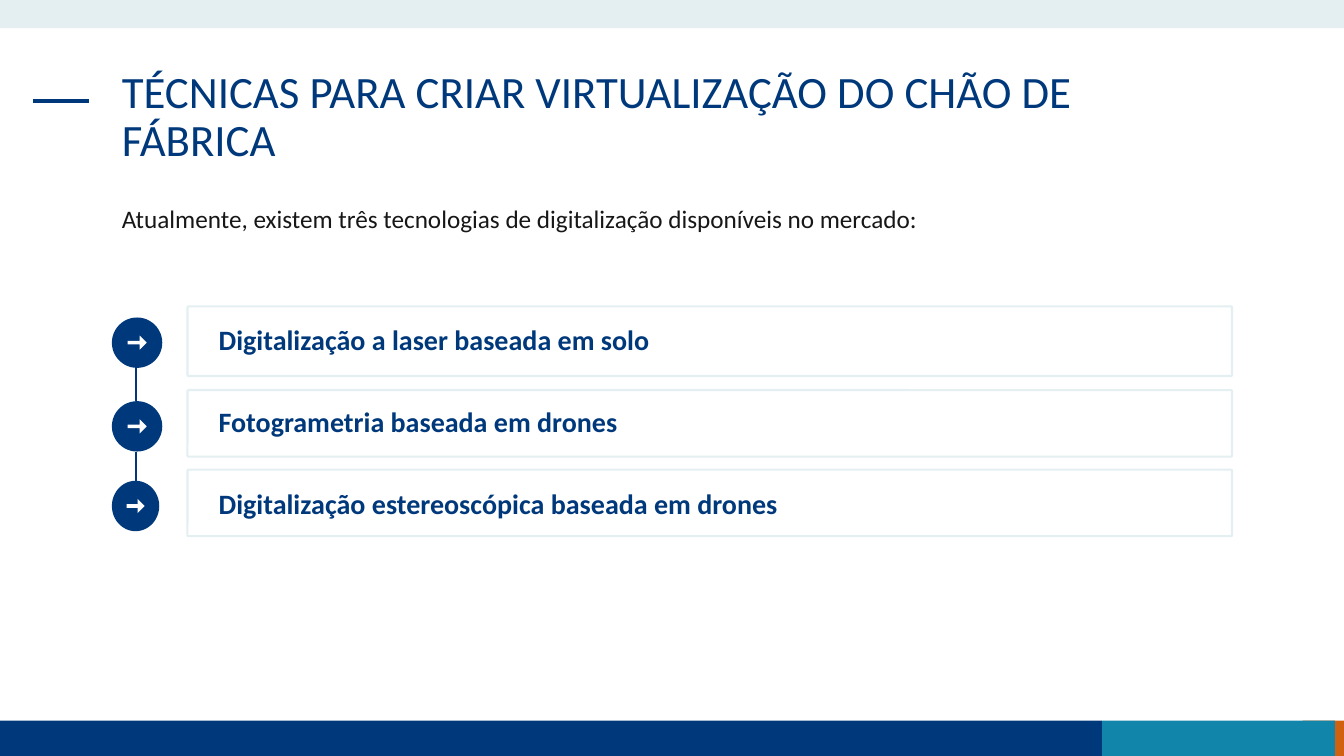
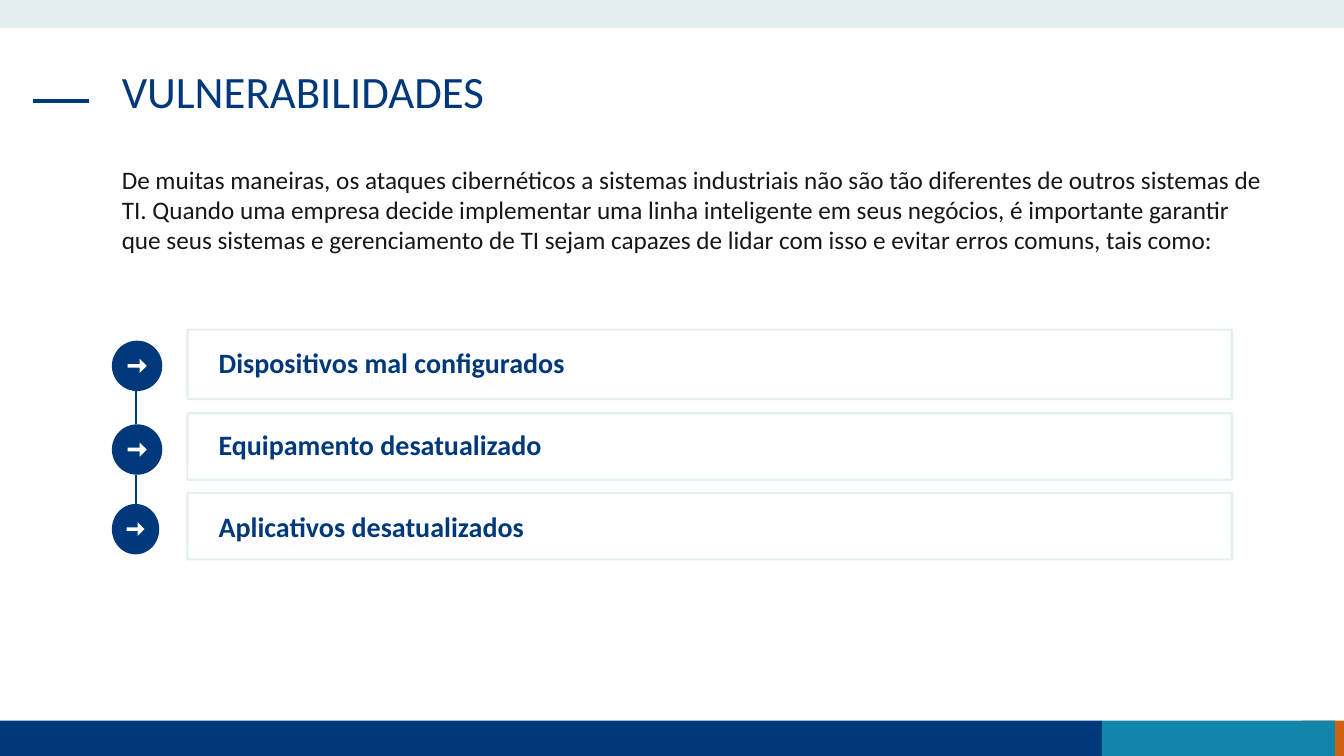
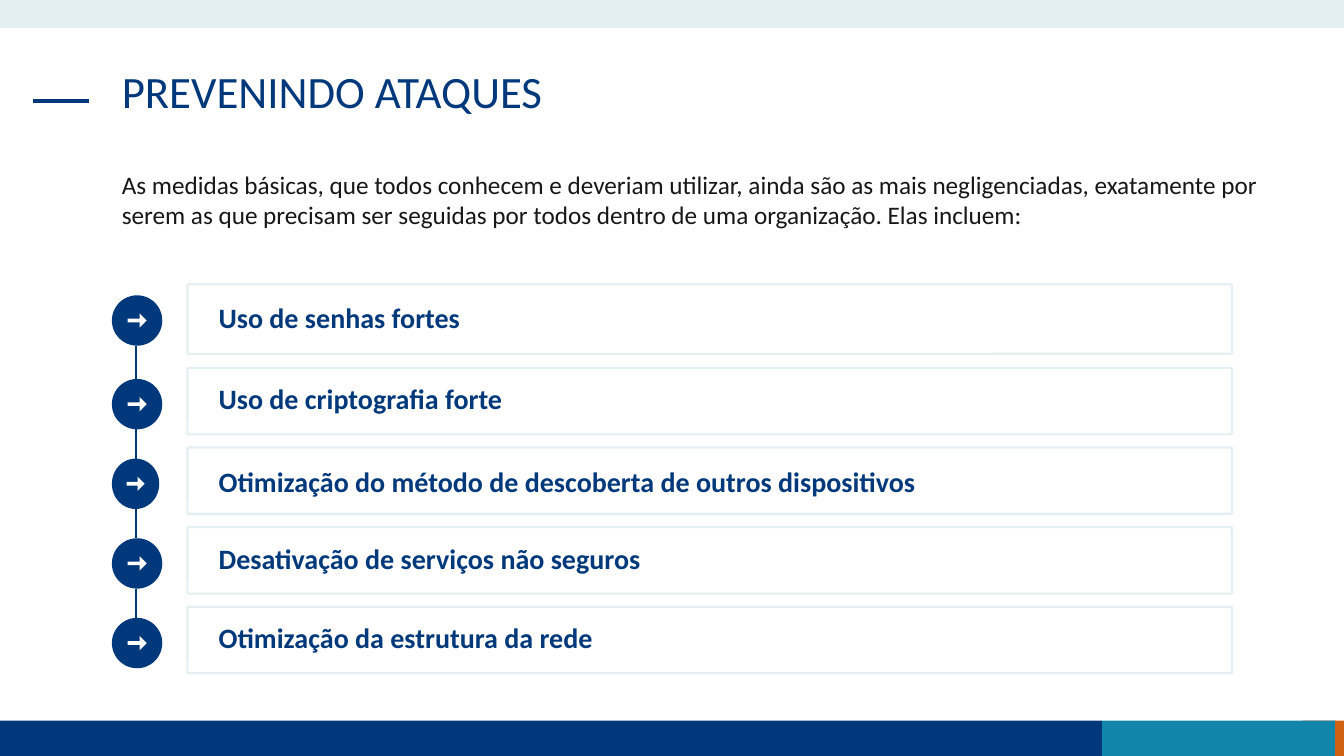
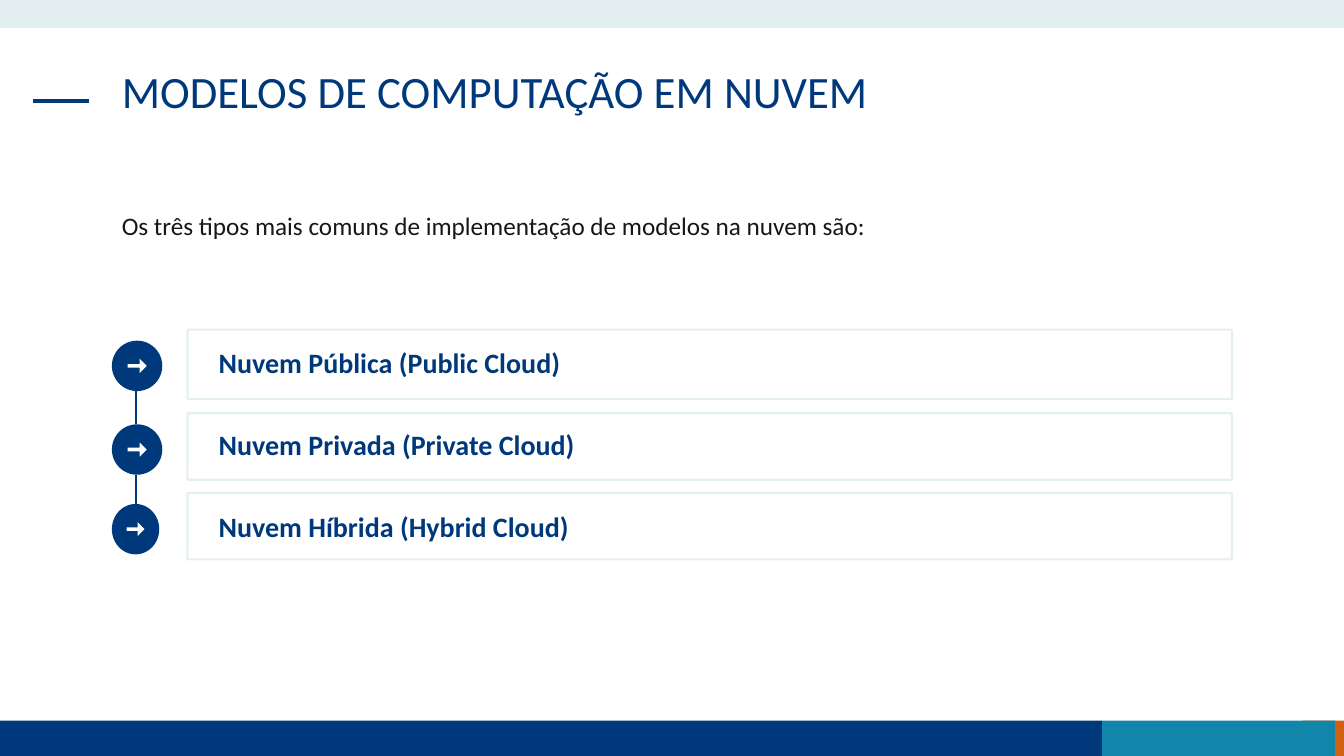
from dataclasses import dataclass
from typing import NamedTuple

from lxml.etree import SubElement
from pptx import Presentation
from pptx.dml.color import RGBColor
from pptx.enum.shapes import MSO_CONNECTOR as Connector, MSO_SHAPE as Shape
from pptx.oxml.ns import qn
from pptx.shapes.autoshape import Shape as AutoShape
from pptx.slide import Slide
from pptx.util import Inches, Pt


# Colours, fonts and sizes
@dataclass(frozen=True)
class Theme:
    navy: RGBColor = RGBColor(0x00, 0x39, 0x7B)
    teal: RGBColor = RGBColor(0x11, 0x85, 0xAA)
    orange: RGBColor = RGBColor(0xD0, 0x61, 0x10)
    mist: RGBColor = RGBColor(0xE3, 0xEF, 0xF1)
    ink: RGBColor = RGBColor(0x18, 0x17, 0x17)
    white: RGBColor = RGBColor(0xFF, 0xFF, 0xFF)
    font: str = "Calibri"
    title_size: int = 32
    intro_size: int = 18
    item_size: int = 20
    accent_line: float = 3
    thin_line: float = 1.5


THEME = Theme()


class Area(NamedTuple):
    left: float
    top: float
    width: float
    height: float

    def lengths(self) -> list[Inches]:
        return [Inches(value) for value in self]


class Band(NamedTuple):
    area: Area
    color: RGBColor


class RowStyle(NamedTuple):
    box_height: float
    label_drop: float
    badge_width: float


@dataclass(frozen=True)
class Topic:
    title: str
    intro: str
    intro_top: float
    intro_lines: int
    list_top: float
    items: tuple[str, ...]


BANDS = (
    Band(Area(12.92, 7.15, 0.41, 0.35), THEME.orange),
    Band(Area(0, 7.15, 10.93, 0.35), THEME.navy),
    Band(Area(10.93, 7.15, 2.31, 0.35), THEME.teal),
    Band(Area(0, 0, 13.33, 0.28), THEME.mist),
)

# List geometry: the first row is slightly taller, the third badge narrower
ROW_PITCH = 0.79
FIRST_ROW_EXTRA = 0.04
MARGIN = 1.11
BADGE_SIZE = 0.5
BADGE_DROP = 0.11
LINK_X = 1.35
REGULAR_ROW = RowStyle(0.66, 0.09, BADGE_SIZE)
SPECIAL_ROWS = {
    0: RowStyle(0.69, 0.11, BADGE_SIZE),
    2: RowStyle(0.66, 0.12, 0.47),
}

TOPICS = (
    Topic(
        "TÉCNICAS PARA CRIAR VIRTUALIZAÇÃO DO CHÃO DE FÁBRICA",
        "Atualmente, existem três tecnologias de digitalização disponíveis no mercado:",
        1.97, 1, 3.04,
        (
            "Digitalização a laser baseada em solo",
            "Fotogrametria baseada em drones",
            "Digitalização estereoscópica baseada em drones",
        ),
    ),
    Topic(
        "VULNERABILIDADES",
        "De muitas maneiras, os ataques cibernéticos a sistemas industriais não são tão "
        "diferentes de outros sistemas de TI. Quando uma empresa decide implementar uma "
        "linha inteligente em seus negócios, é importante garantir que seus sistemas e "
        "gerenciamento de TI sejam capazes de lidar com isso e evitar erros comuns, tais como:",
        1.58, 3, 3.27,
        (
            "Dispositivos mal configurados",
            "Equipamento desatualizado",
            "Aplicativos desatualizados",
        ),
    ),
    Topic(
        "PREVENINDO ATAQUES",
        "As medidas básicas, que todos conhecem e deveriam utilizar, ainda são as mais "
        "negligenciadas, exatamente por serem as que precisam ser seguidas por todos "
        "dentro de uma organização. Elas incluem:",
        1.63, 2, 2.82,
        (
            "Uso de senhas fortes",
            "Uso de criptografia forte",
            "Otimização do método de descoberta de outros dispositivos",
            "Desativação de serviços não seguros",
            "Otimização da estrutura da rede",
        ),
    ),
    Topic(
        "MODELOS DE COMPUTAÇÃO EM NUVEM",
        "Os três tipos mais comuns de implementação de modelos na nuvem são:",
        2.04, 1, 3.27,
        (
            "Nuvem Pública (Public Cloud)",
            "Nuvem Privada (Private Cloud)",
            "Nuvem Híbrida (Hybrid Cloud)",
        ),
    ),
)


# Drawing helpers
def add_filled(slide: Slide, kind: Shape, area: Area, color: RGBColor) -> AutoShape:
    filled = slide.shapes.add_shape(kind, *area.lengths())
    filled.shadow.inherit = False
    filled.fill.solid()
    filled.fill.fore_color.rgb = color
    filled.line.fill.background()
    return filled


def add_line(slide: Slide, start: tuple[float, float], end: tuple[float, float],
             width: float) -> None:
    points = [Inches(value) for value in (*start, *end)]
    line = slide.shapes.add_connector(Connector.STRAIGHT, *points)
    line.line.color.rgb = THEME.navy
    line.line.width = Pt(width)
    SubElement(line._element.spPr, qn("a:effectLst"))


def add_text(slide: Slide, area: Area, text: str, size: int, color: RGBColor,
             bold: bool = False, line_spacing: float = 1.0) -> None:
    frame = slide.shapes.add_textbox(*area.lengths()).text_frame
    frame.word_wrap = True
    paragraph = frame.paragraphs[0]
    paragraph.line_spacing = line_spacing
    run = paragraph.add_run()
    run.text = text
    run.font.name = THEME.font
    run.font.size = Pt(size)
    run.font.bold = bold
    run.font.color.rgb = color


# Slide parts
def add_frame(slide: Slide) -> None:
    for band in BANDS:
        add_filled(slide, Shape.RECTANGLE, band.area, band.color)
    add_line(slide, (0.33, 1), (0.88, 1), THEME.accent_line)


def add_badge(slide: Slide, top: float, width: float) -> None:
    add_filled(slide, Shape.OVAL, Area(MARGIN, top, width, BADGE_SIZE), THEME.navy)
    arrow_width = 0.38 * width
    arrow_left = MARGIN + (width - arrow_width) / 2
    arrow = add_filled(slide, Shape.RIGHT_ARROW,
                       Area(arrow_left, top + 0.18, arrow_width, 0.14), THEME.white)
    arrow.adjustments[0] = 0.255
    arrow.adjustments[1] = 0.5


def add_item_box(slide: Slide, top: float, height: float) -> None:
    box = slide.shapes.add_shape(Shape.ROUNDED_RECTANGLE,
                                 *Area(1.86, top, 10.36, height).lengths())
    box.shadow.inherit = False
    box.adjustments[0] = 0.016
    box.fill.background()
    box.line.color.rgb = THEME.mist
    box.line.width = Pt(THEME.thin_line)


def add_items(slide: Slide, items: tuple[str, ...], list_top: float) -> None:
    tops = [list_top + ROW_PITCH * i + (FIRST_ROW_EXTRA if i else 0)
            for i in range(len(items))]

    # Links between neighbouring badges
    for top, next_top in zip(tops, tops[1:]):
        add_line(slide, (LINK_X, top + BADGE_DROP + BADGE_SIZE),
                 (LINK_X, next_top + BADGE_DROP), THEME.thin_line)

    for i, (item, top) in enumerate(zip(items, tops)):
        style = SPECIAL_ROWS.get(i, REGULAR_ROW)
        add_badge(slide, top + BADGE_DROP, style.badge_width)
        add_item_box(slide, top, style.box_height)
        add_text(slide, Area(2.07, top + style.label_drop, 10, 0.44), item,
                 THEME.item_size, THEME.navy, bold=True)


def add_topic(slide: Slide, topic: Topic) -> None:
    add_frame(slide)
    add_text(slide, Area(MARGIN, 0.64, 11.1, 0.94), topic.title,
             THEME.title_size, THEME.navy, line_spacing=0.9)
    add_text(slide, Area(MARGIN, topic.intro_top, 11.56, 0.1 + 0.3 * topic.intro_lines),
             topic.intro, THEME.intro_size, THEME.ink)
    add_items(slide, topic.items, topic.list_top)


def main() -> None:
    deck = Presentation()
    deck.slide_width = Inches(13.33)
    deck.slide_height = Inches(7.5)
    blank = deck.slide_layouts[6]
    for topic in TOPICS:
        add_topic(deck.slides.add_slide(blank), topic)
    deck.save("out.pptx")


if __name__ == "__main__":
    main()
